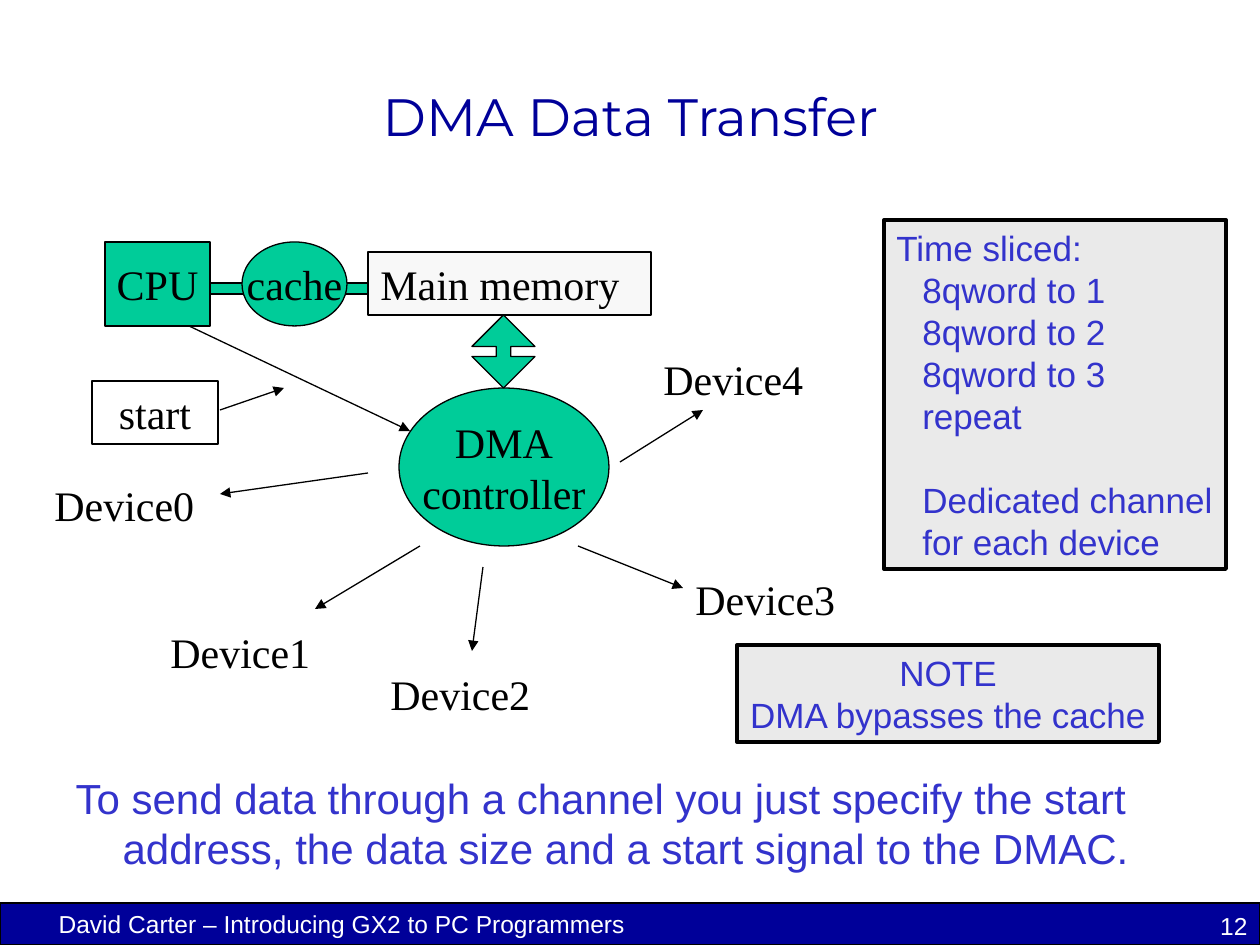
from pptx import Presentation
from pptx import util as u
from pptx.dml import color
from pptx.enum import shapes, text
from pptx.oxml import ns
from lxml import etree

PX = 914400 / 126  # EMU in one px
WIDTH, HEIGHT = 1260, 945

COLOURS = {"navy": "000099", "blue": "3333CC", "green": "00CC99", "black": "000000",
           "white": "FFFFFF", "pale": "F8F8F8", "grey": "EAEAEA"}
STYLES = {
    "title": dict(name="Montserrat", size=30, color="navy"),
    "body": dict(name="Arial", size=24, color="blue"),
    "note": dict(name="Arial", size=20, color="blue"),
    "diagram": dict(name="Times New Roman", size=24, color="black"),
    "footer": dict(name="Arial", size=14, color="white"),
}
KIND = shapes.MSO_SHAPE
LEFT, CENTER, RIGHT = text.PP_ALIGN.LEFT, text.PP_ALIGN.CENTER, text.PP_ALIGN.RIGHT

TITLE = "DMA Data Transfer"
BODY = ("To send data through a channel you just specify the start address, "
        "the data size and a start signal to the DMAC.")

# kind, box in px, fill, lines of text, alignment
BLOCKS = [
    (KIND.RECTANGLE, (210, 283, 158, 11), "green", [], CENTER),
    (KIND.OVAL, (399, 388, 210, 158), "green", ["DMA", "controller"], CENTER),
    (KIND.RECTANGLE, (368, 252, 283, 63), "pale", ["Main memory"], LEFT),
    (KIND.UP_DOWN_ARROW, (472, 315, 63, 73), "green", [], CENTER),
    (KIND.RECTANGLE, (105, 242, 105, 84), "green", ["CPU"], CENTER),
    (KIND.OVAL, (242, 242, 105, 84), "green", ["cache"], CENTER),
    (KIND.RECTANGLE, (92, 381, 126, 63), None, ["start"], CENTER),
]
DEVICES = [(42, 473), (158, 620), (378, 662), (683, 567), (651, 347)]
DEVICE_SIZE = (165, 63)
ARROWS = [
    ((368, 473), (220, 494)),  # DMA controller to Device0 ... Device4
    ((420, 546), (315, 609)),
    ((483, 567), (472, 651)),
    ((578, 546), (683, 588)),
    ((620, 462), (703, 410)),
    ((189, 326), (410, 431)),  # CPU to DMA controller
    ((220, 410), (284, 388)),  # start signal
]
SLICES = ["Time sliced:", "8qword to 1", "8qword to 2", "8qword to 3", "repeat",
          "Dedicated channel", "for each device"]
CHANNEL_LINE = 5  # starts a new group in SLICES
NOTE = ["NOTE", "DMA bypasses the cache"]


def emu(*lengths):
    return [u.Emu(round(n * PX)) for n in lengths]


def rgb(name):
    return color.RGBColor.from_string(COLOURS[name])


def write(sp, lines, style, align=LEFT, anchor=text.MSO_ANCHOR.TOP, wrap=False):
    """Fill a shape with one paragraph per line and return the paragraphs."""
    tf = sp.text_frame
    frame = dict(word_wrap=wrap, auto_size=text.MSO_AUTO_SIZE.NONE, vertical_anchor=anchor,
                 margin_left=u.Inches(0.1), margin_right=u.Inches(0.1),
                 margin_top=u.Inches(0.05), margin_bottom=u.Inches(0.05))
    for key, value in frame.items():
        setattr(tf, key, value)
    tf.text = "\n".join(lines)
    fmt = STYLES[style]
    for p in tf.paragraphs:
        p.alignment, p.space_before = align, u.Pt(0)
        for r in p.runs:
            r.font.name, r.font.size = fmt["name"], u.Pt(fmt["size"])
            r.font.color.rgb = rgb(fmt["color"])
    return tf.paragraphs


def indent(p, margin, first=0):
    pPr = p._p.get_or_add_pPr()
    pPr.set("marL", str(emu(margin)[0]))
    pPr.set("indent", str(emu(first)[0]))
    return pPr


def add_block(s, kind, box, fill, line_width=0.75):
    sp = s.shapes.add_shape(kind, *emu(*box))
    sp.shadow.inherit = False
    if fill:
        sp.fill.solid()
        sp.fill.fore_color.rgb = rgb(fill)
    else:
        sp.fill.background()
    sp.line.color.rgb = rgb("black")
    sp.line.width = u.Pt(line_width)
    return sp


def add_label(s, box, line, style, align=LEFT, wrap=False):
    write(s.shapes.add_textbox(*emu(*box)), [line], style, align, wrap=wrap)


def add_arrow(s, start, end):
    c = s.shapes.add_connector(shapes.MSO_CONNECTOR.STRAIGHT, *emu(*start, *end))
    c.line.color.rgb = rgb("black")
    c.line.width = u.Pt(0.75)
    etree.SubElement(c.line._get_or_add_ln(), ns.qn("a:tailEnd"), type="triangle")
    etree.SubElement(c._element.spPr, ns.qn("a:effectLst"))


def place(sp, box):
    sp.left, sp.top, sp.width, sp.height = emu(*box)
    return sp


def main():
    prs = Presentation()
    prs.slide_width, prs.slide_height = emu(WIDTH, HEIGHT)
    s = prs.slides.add_slide(prs.slide_layouts[1])
    middle = text.MSO_ANCHOR.MIDDLE

    write(place(s.shapes.title, (95, 63, 1071, 105)), [TITLE], "title", CENTER, middle, True)
    body = write(place(s.placeholders[1], (63, 766, 1134, 126)), [BODY], "body", wrap=True)
    etree.SubElement(indent(body[0], 47, -47), ns.qn("a:buNone"))

    add_block(s, KIND.RECTANGLE, (0, 903, WIDTH, 42), "navy")
    add_label(s, (32, 903, 620, 35), "David Carter – Introducing GX2 to PC Programmers",
              "footer", CENTER, True)
    add_label(s, (998, 905, 262, 40), "12", "footer", RIGHT, True)

    for kind, box, fill, lines, align in BLOCKS:
        sp = add_block(s, kind, box, fill)
        if kind == KIND.UP_DOWN_ARROW:
            sp.adjustments[1] = 0.23
        if lines:
            write(sp, lines, "diagram", align, middle)
    for number, corner in enumerate(DEVICES):
        add_label(s, (*corner, *DEVICE_SIZE), f"Device{number}", "diagram")
    for start, end in ARROWS:
        add_arrow(s, start, end)

    slices = add_block(s, KIND.RECTANGLE, (884, 220, 342, 349), "grey", 2.25)
    paragraphs = write(slices, SLICES, "note")
    for p in paragraphs[1:]:
        indent(p, 26)
    paragraphs[CHANNEL_LINE].space_before = u.Pt(24)
    note = add_block(s, KIND.RECTANGLE, (737, 645, 422, 97), "grey", 2.25)
    write(note, NOTE, "note", CENTER)

    prs.save("out.pptx")


if __name__ == "__main__":
    main()
